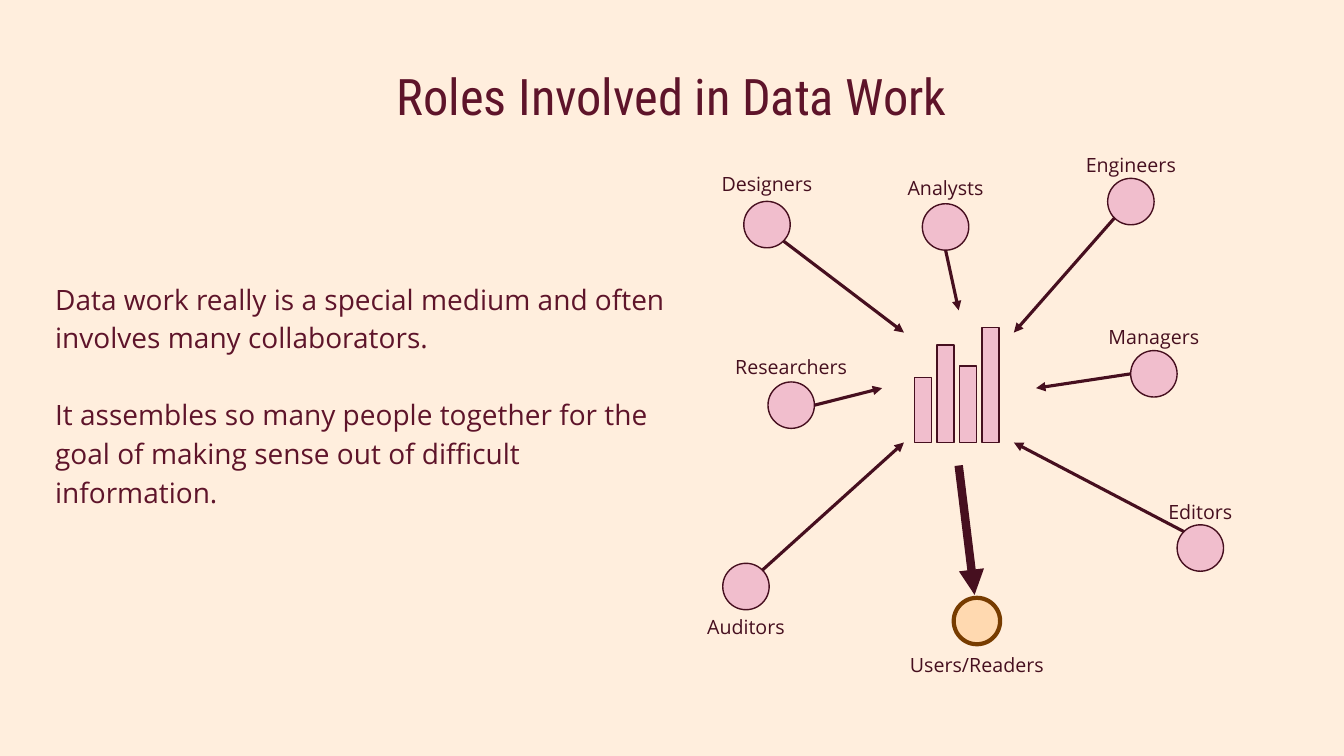
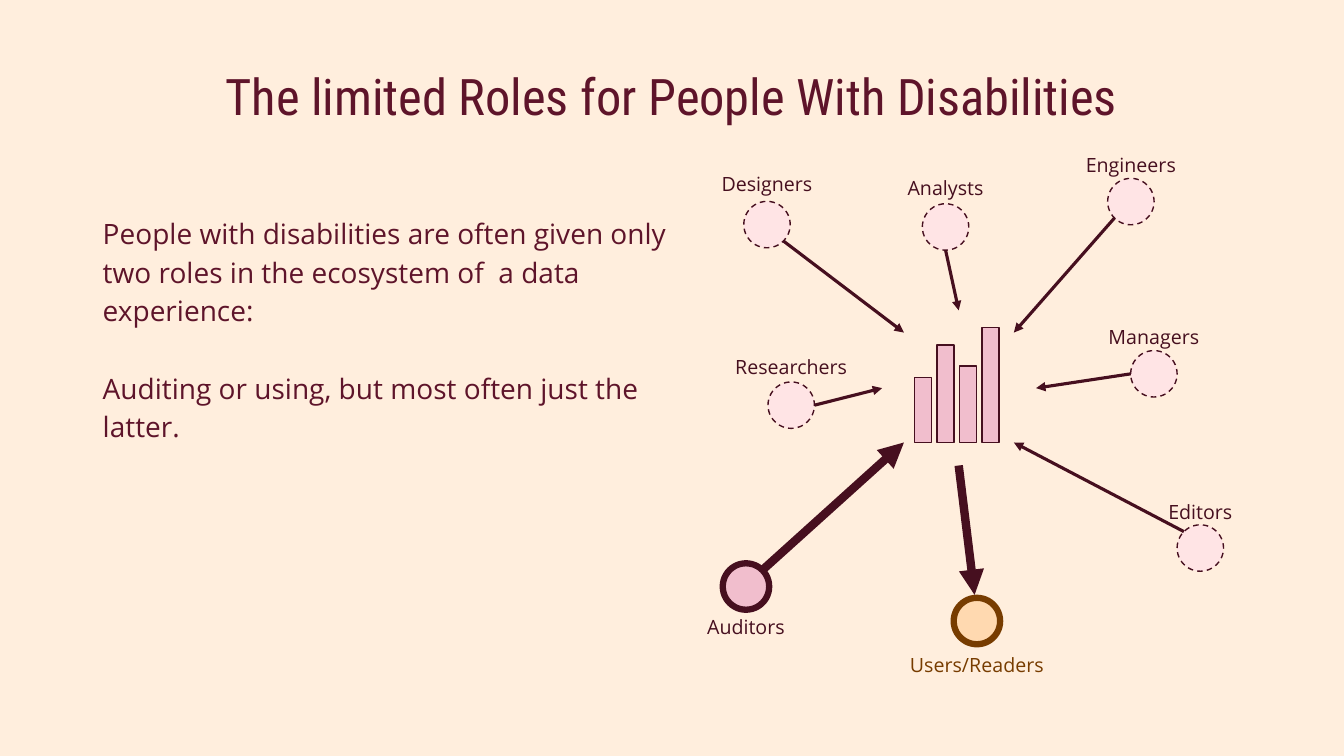
from dataclasses import dataclass
from math import cos, radians, sin

from lxml import etree
from pptx import Presentation
from pptx.dml.color import RGBColor
from pptx.enum.dml import MSO_LINE
from pptx.enum.shapes import MSO_CONNECTOR, MSO_SHAPE
from pptx.enum.text import MSO_ANCHOR, PP_ALIGN
from pptx.oxml.ns import qn
from pptx.util import Cm, Pt

CENTER, LEFT = PP_ALIGN.CENTER, PP_ALIGN.LEFT
TOP, MIDDLE = MSO_ANCHOR.TOP, MSO_ANCHOR.MIDDLE
OVAL, RECT = MSO_SHAPE.OVAL, MSO_SHAPE.RECTANGLE
STRAIGHT, DASH = MSO_CONNECTOR.STRAIGHT, MSO_LINE.DASH


@dataclass(frozen=True)
class Theme:
    background: str = "FFEEDD"
    text: str = "5E142A"
    dark: str = "460F1F"
    pink: str = "F1BECD"
    pale: str = "FFE4E5"
    peach: str = "FFD9B0"
    brown: str = "773C00"
    title_font: str = "Roboto Condensed"
    body_font: str = "Open Sans"
    title_size: float = 36
    body_size: float = 20
    label_size: float = 14
    line_spacing: float = 1.15
    paragraph_gap: float = 27.6
    thin: float = 1
    thin_arrow: float = 2.25
    thick_arrow: float = 6


THEME = Theme()


@dataclass(frozen=True)
class RoleStyle:
    fill: str = THEME.pink
    outline: str = THEME.dark
    width: float = THEME.thin
    dashed: bool = False
    arrow: float = THEME.thin_arrow
    label: str = THEME.dark


@dataclass(frozen=True)
class Role:
    """A circle centred on (x, y), its label offset and its arrow's ends, in cm."""
    name: str
    x: float
    y: float
    label_dy: float
    start: tuple
    end: tuple


SLIDE_W, SLIDE_H = 33.87, 19.05
CIRCLE = 1.17
LABEL_W, LABEL_H = 3.9, 0.86
BAR_LEFT, BAR_BASE, BAR_W, BAR_STEP = 23.04, 11.15, 0.43, 0.57
BAR_HEIGHTS = (1.63, 2.46, 1.93, 2.9)


def contributor(name, x, y, label_dy, angle, end):
    """A role whose arrow leaves its circle at angle, clockwise from the right."""
    turn = radians(angle)
    start = (x + CIRCLE / 2 * cos(turn), y + CIRCLE / 2 * sin(turn))
    return Role(name, x, y, label_dy, start, end)


ROLES = (
    contributor("Designers", 19.33, 5.66, -1.04, 45, (22.78, 8.38)),
    contributor("Analysts", 23.83, 5.72, -1, 90, (24.16, 7.82)),
    contributor("Engineers", 28.5, 5.08, -0.94, 135, (25.55, 8.38)),
    contributor("Managers", 29.08, 9.42, -0.94, 180, (26.11, 9.78)),
    contributor("Editors", 30.25, 13.81, -0.92, 225, (25.55, 11.15)),
    contributor("Auditors", 18.8, 14.78, 1.02, 315, (22.78, 11.15)),
    contributor("Researchers", 19.94, 10.21, -0.96, 0, (22.23, 9.78)),
    Role("Users/Readers", 24.62, 15.65, 1.09, (24.16, 11.73), (24.56, 14.99)),
)


def rgb(color):
    return RGBColor.from_string(color)


def set_line(line, color, width):
    line.color.rgb = rgb(color)
    line.width = Pt(width)


def add_text(shapes, box, paragraphs, font, size, color,
             align=LEFT, anchor=TOP, wrap=True, spacing=1):
    tf = shapes.add_textbox(*map(Cm, box)).text_frame
    tf.word_wrap = wrap
    tf.vertical_anchor = anchor
    tf.margin_left = tf.margin_right = tf.margin_top = tf.margin_bottom = Cm(0.25)
    for i, text in enumerate(paragraphs):
        p = tf.paragraphs[0] if i == 0 else tf.add_paragraph()
        p.text = text
        p.alignment = align
        p.line_spacing = spacing
        if i:
            p.space_before = Pt(THEME.paragraph_gap)
        for r in p.runs:
            r.font.name = font
            r.font.size = Pt(size)
            r.font.color.rgb = rgb(color)


def add_filled(shapes, kind, box, fill, outline, width):
    sp = shapes.add_shape(kind, *map(Cm, box))
    sp.shadow.inherit = False
    sp.fill.solid()
    sp.fill.fore_color.rgb = rgb(fill)
    set_line(sp.line, outline, width)
    return sp


def add_arrow(shapes, start, end, width):
    arrow = shapes.add_connector(STRAIGHT, *map(Cm, start + end))
    set_line(arrow.line, THEME.dark, width)
    ln = arrow.line._get_or_add_ln()
    etree.SubElement(ln, qn("a:tailEnd"), type="triangle")
    etree.SubElement(arrow._element.spPr, qn("a:effectLst"))


def add_bars(shapes):
    for i, height in enumerate(BAR_HEIGHTS):
        box = (BAR_LEFT + i * BAR_STEP, BAR_BASE - height, BAR_W, height)
        add_filled(shapes, RECT, box, THEME.pink, THEME.dark, THEME.thin)


def add_role(shapes, role, style):
    box = (role.x - CIRCLE / 2, role.y - CIRCLE / 2, CIRCLE, CIRCLE)
    circle = add_filled(shapes, OVAL, box, style.fill, style.outline, style.width)
    if style.dashed:
        circle.line.dash_style = DASH
    add_arrow(shapes, role.start, role.end, style.arrow)
    label_box = (role.x - LABEL_W / 2, role.y + role.label_dy - LABEL_H / 2,
                 LABEL_W, LABEL_H)
    add_text(shapes, label_box, [role.name], THEME.body_font, THEME.label_size,
             style.label, CENTER, MIDDLE, wrap=False)


def add_roles_slide(prs, title, body, body_box, default, special):
    """Add a slide; special maps role names to styles that replace default."""
    s = prs.slides.add_slide(prs.slide_layouts[6])
    s.background.fill.solid()
    s.background.fill.fore_color.rgb = rgb(THEME.background)
    add_text(s.shapes, (2, 1.35, 29.87, 2.13), [title], THEME.title_font,
             THEME.title_size, THEME.text, CENTER, MIDDLE)
    add_text(s.shapes, body_box, body, THEME.body_font, THEME.body_size,
             THEME.text, spacing=THEME.line_spacing)
    diagram = s.shapes.add_group_shape().shapes
    add_bars(diagram)
    for role in ROLES:
        add_role(diagram, role, special.get(role.name, default))


def main():
    prs = Presentation()
    prs.slide_width, prs.slide_height = Cm(SLIDE_W), Cm(SLIDE_H)
    add_roles_slide(
        prs, "Roles Involved in Data Work",
        ["Data work really is a special medium and often involves many collaborators.",
         "It assembles so many people together for the goal of making sense out of "
         "difficult information."],
        (1.14, 6.73, 16.13, 7.21), RoleStyle(),
        {"Users/Readers": RoleStyle(THEME.peach, THEME.brown, 3,
                                    arrow=THEME.thick_arrow)})
    add_roles_slide(
        prs, "The limited Roles for People With Disabilities",
        ["People with disabilities are often given only two roles in the ecosystem "
         "of  a data experience:",
         "Auditing or using, but most often just the latter."],
        (2.34, 5.08, 15.19, 9.12), RoleStyle(THEME.pale, dashed=True),
        {"Auditors": RoleStyle(width=4.5, arrow=THEME.thick_arrow),
         "Users/Readers": RoleStyle(THEME.peach, THEME.brown, 4.5,
                                    arrow=THEME.thick_arrow, label=THEME.brown)})
    prs.save("out.pptx")


if __name__ == "__main__":
    main()
